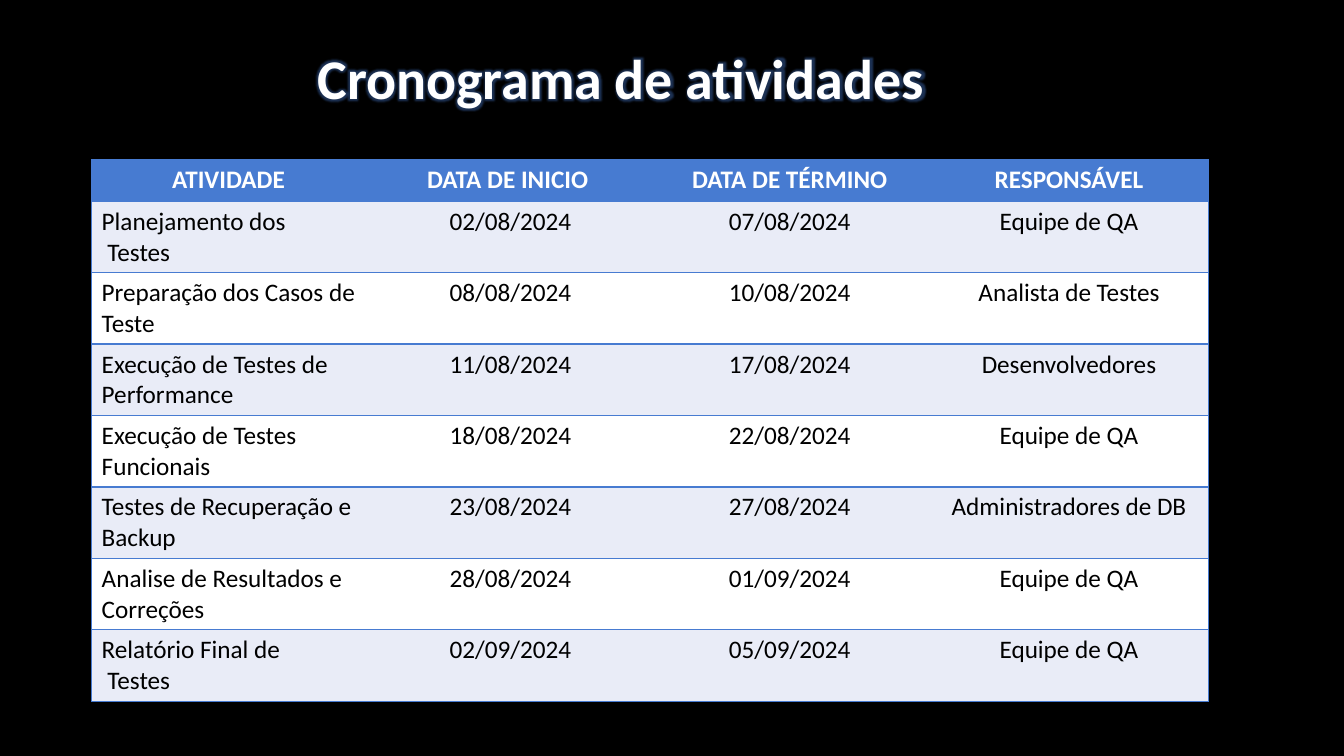
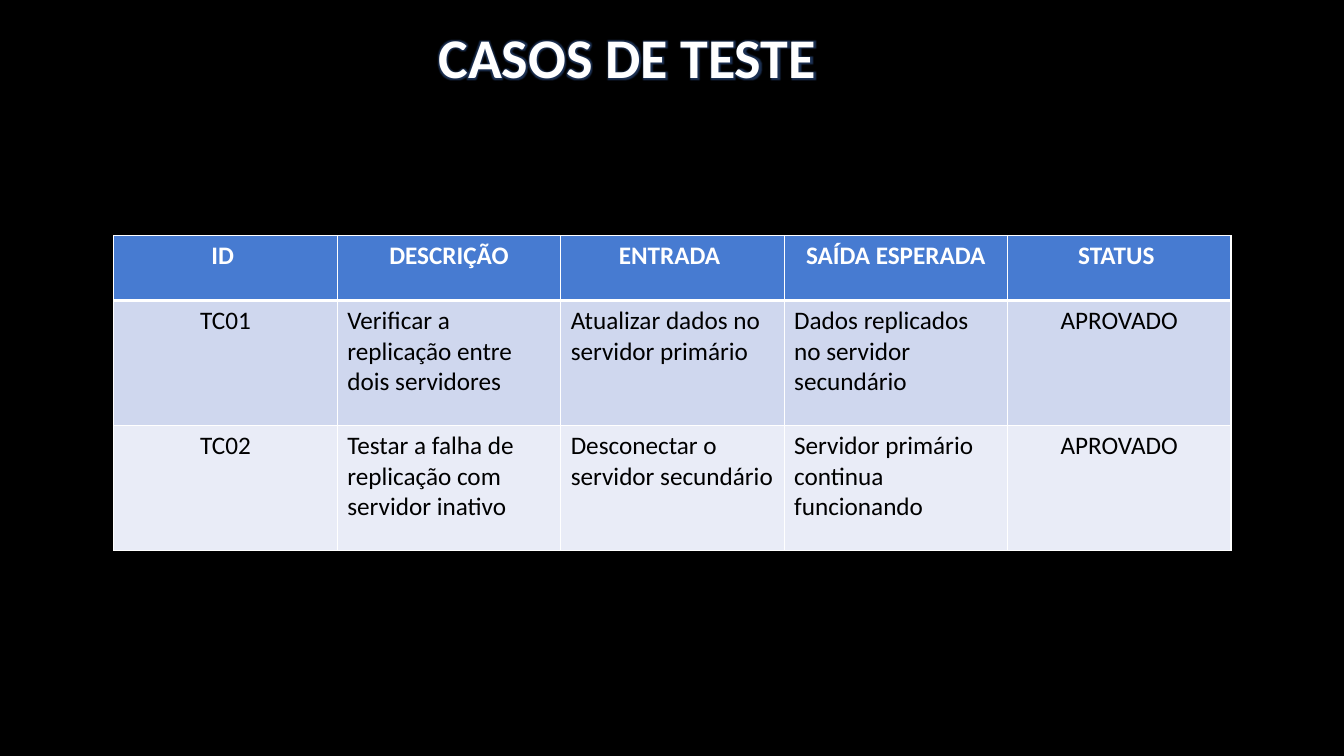
from dataclasses import dataclass

from lxml import etree
from pptx import Presentation
from pptx.dml.color import RGBColor
from pptx.enum.text import MSO_ANCHOR, PP_ALIGN
from pptx.oxml.ns import qn
from pptx.util import Cm, Pt

LEFT = PP_ALIGN.LEFT
CENTER = PP_ALIGN.CENTER
MIDDLE = MSO_ANCHOR.MIDDLE

BLACK = RGBColor(0x00, 0x00, 0x00)
WHITE = RGBColor(0xFF, 0xFF, 0xFF)
BLUE = RGBColor(0x47, 0x7B, 0xD1)
LAVENDER = RGBColor(0xCF, 0xD7, 0xEE)
PALE = RGBColor(0xE9, 0xEC, 0xF7)

FONT = "Calibri"
TABLE_WIDTH = 28.15


@dataclass(frozen=True)
class Title:
    text: str
    left: float
    top: float
    width: float
    height: float = 4.04


@dataclass(frozen=True)
class TableStyle:
    band_colors: tuple[RGBColor, RGBColor]
    line_color: RGBColor
    header_line: float
    inner_verticals: bool
    left_columns: range


@dataclass(frozen=True)
class Grid:
    rows: tuple[tuple[str, ...], ...]
    left: float
    top: float
    header_height: float
    row_height: float
    style: TableStyle


SCHEDULE = Grid(
    rows=(
        ("ATIVIDADE ", "DATA DE INICIO ", "DATA DE TÉRMINO", "RESPONSÁVEL"),
        ("Planejamento dos\n Testes", "02/08/2024", "07/08/2024", "Equipe de QA"),
        ("Preparação dos Casos de Teste", "08/08/2024", "10/08/2024", "Analista de Testes"),
        ("Execução de Testes de\nPerformance", "11/08/2024", "17/08/2024", "Desenvolvedores"),
        ("Execução de Testes Funcionais", "18/08/2024", "22/08/2024", "Equipe de QA"),
        ("Testes de Recuperação e Backup", "23/08/2024", "27/08/2024", "Administradores de DB"),
        ("Analise de Resultados e Correções", "28/08/2024", "01/09/2024", "Equipe de QA"),
        ("Relatório Final de\n Testes", "02/09/2024", "05/09/2024", "Equipe de QA"),
    ),
    left=2.31,
    top=4.03,
    header_height=1.04,
    row_height=1.8,
    style=TableStyle((PALE, WHITE), BLUE, 1, False, range(0, 1)),
)

TEST_CASES = Grid(
    rows=(
        ("ID ", "DESCRIÇÃO", "ENTRADA ", "SAÍDA ESPERADA", "STATUS "),
        (
            "TC01",
            "Verificar a replicação entre\ndois servidores",
            "Atualizar dados no\nservidor primário",
            "Dados replicados\nno servidor\nsecundário",
            "APROVADO",
        ),
        (
            "TC02",
            "Testar a falha de\nreplicação com servidor inativo",
            "Desconectar o\nservidor secundário",
            "Servidor primário\ncontinua\nfuncionando",
            "APROVADO",
        ),
    ),
    left=2.87,
    top=5.94,
    header_height=1.63,
    row_height=3.15,
    style=TableStyle((LAVENDER, PALE), WHITE, 3, True, range(1, 4)),
)

SLIDES = (
    (Title("Cronograma de atividades", 7.75, -0.08, 28.15), SCHEDULE),
    (Title("CASOS DE TESTE", 10.8, -0.61, 12.27), TEST_CASES),
)


def write_text(text_frame, text: str, *, size: float = 18, color: RGBColor = BLACK,
               bold: bool = False, align=LEFT, glow: bool = False) -> None:
    for index, line in enumerate(text.split("\n")):
        paragraph = text_frame.paragraphs[0] if index == 0 else text_frame.add_paragraph()
        paragraph.alignment = align
        run = paragraph.add_run()
        run.text = line
        run.font.name = FONT
        run.font.size = Pt(size)
        run.font.bold = bold
        run.font.color.rgb = color
        if glow:
            add_glow(run.font.fill)
            add_glow_effect(run)


def add_glow(fill) -> None:
    fill.solid()
    fill.fore_color.rgb = WHITE


def add_glow_effect(run) -> None:
    properties = run.font._element
    effects = etree.Element(qn("a:effectLst"))
    glow = etree.SubElement(effects, qn("a:glow"), rad=str(Pt(5)))
    color = etree.SubElement(glow, qn("a:srgbClr"), val=str(BLUE))
    etree.SubElement(color, qn("a:alpha"), val="40000")
    properties.find(qn("a:solidFill")).addnext(effects)


def add_title(slide, title: Title) -> None:
    box = slide.shapes.add_textbox(
        Cm(title.left), Cm(title.top), Cm(title.width), Cm(title.height))
    box.text_frame.word_wrap = True
    box.text_frame.vertical_anchor = MIDDLE
    write_text(box.text_frame, title.text, size=40, color=WHITE, bold=True, glow=True)


def set_borders(cell, color: RGBColor, widths: dict[str, float]) -> None:
    properties = cell._tc.get_or_add_tcPr()
    for index, (side, width) in enumerate(widths.items()):
        line = etree.Element(qn(f"a:ln{side}"), w=str(Pt(width)))
        if width:
            fill = etree.SubElement(line, qn("a:solidFill"))
            etree.SubElement(fill, qn("a:srgbClr"), val=str(color))
        else:
            etree.SubElement(line, qn("a:noFill"))
        properties.insert(index, line)


def add_grid(slide, grid: Grid) -> None:
    style = grid.style
    row_count, column_count = len(grid.rows), len(grid.rows[0])
    height = grid.header_height + grid.row_height * (row_count - 1)
    table = slide.shapes.add_table(
        row_count, column_count, Cm(grid.left), Cm(grid.top),
        Cm(TABLE_WIDTH), Cm(height)).table
    table.first_row = False
    table.horz_banding = False
    inner = 1 if style.inner_verticals else 0
    for row_index, texts in enumerate(grid.rows):
        header = row_index == 0
        table.rows[row_index].height = Cm(grid.header_height if header else grid.row_height)
        for column_index, text in enumerate(texts):
            cell = table.cell(row_index, column_index)
            cell.fill.solid()
            cell.fill.fore_color.rgb = BLUE if header else style.band_colors[(row_index - 1) % 2]
            set_borders(cell, style.line_color, {
                "L": 1 if column_index == 0 else inner,
                "R": 1 if column_index == column_count - 1 else inner,
                "T": style.header_line if row_index == 1 else 1,
                "B": style.header_line if header else 1,
            })
            left_aligned = not header and column_index in style.left_columns
            write_text(cell.text_frame, text, color=WHITE if header else BLACK,
                       bold=header, align=LEFT if left_aligned else CENTER)


def main() -> None:
    presentation = Presentation()
    presentation.slide_width = Cm(33.87)
    presentation.slide_height = Cm(19.05)
    blank_layout = presentation.slide_layouts[6]
    background = presentation.slide_master.background.fill
    background.solid()
    background.fore_color.rgb = BLACK
    for title, grid in SLIDES:
        slide = presentation.slides.add_slide(blank_layout)
        add_title(slide, title)
        add_grid(slide, grid)
    presentation.save("out.pptx")


if __name__ == "__main__":
    main()
